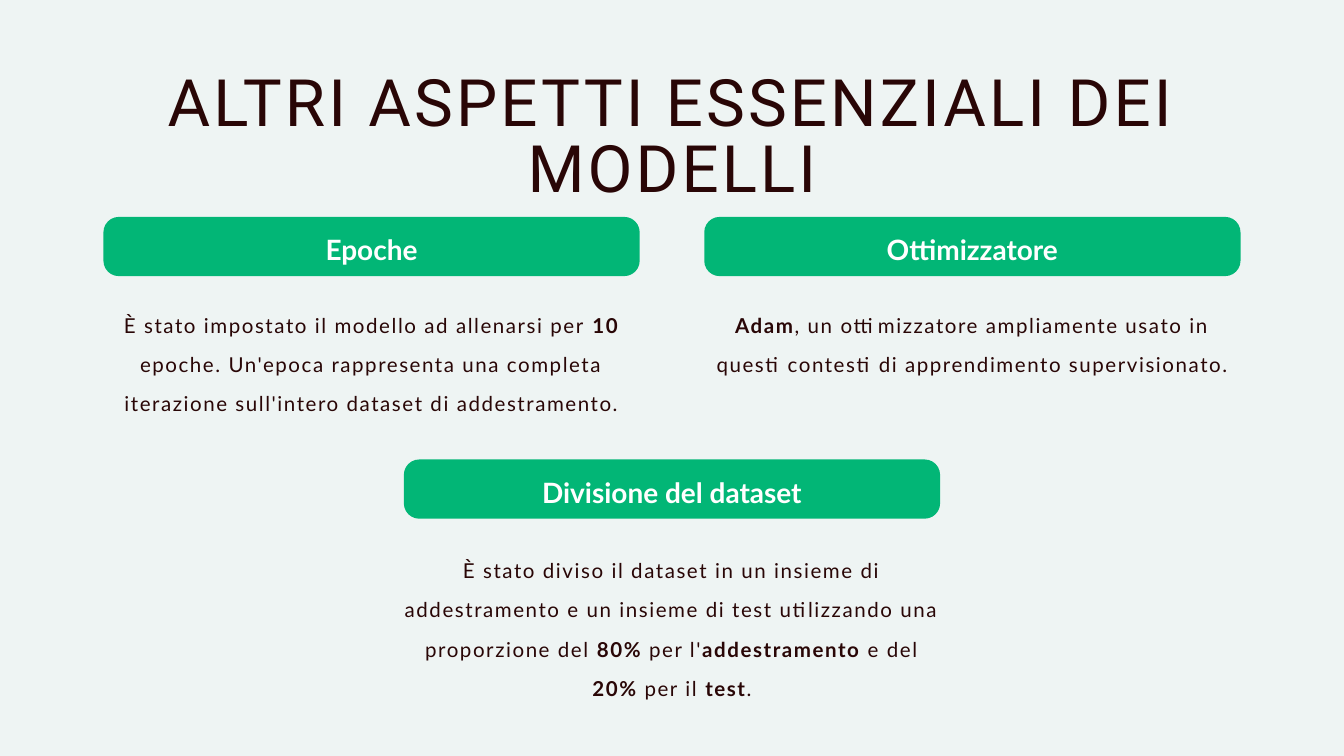
from dataclasses import dataclass

from pptx import Presentation
from pptx.dml.color import RGBColor as Rgb
from pptx.enum.shapes import MSO_SHAPE as Kind
from pptx.enum.text import MSO_ANCHOR as Anchor, MSO_AUTO_SIZE as Fit, PP_ALIGN as Align
from pptx.util import Cm, Pt


@dataclass(frozen=True)
class Type:
    font: str
    size: int
    color: str
    lead: int
    bold: bool = False
    track: int = 0


@dataclass(frozen=True)
class Theme:
    back: str = "EEF4F3"
    green: str = "02B676"
    title: Type = Type("Roboto", 70, "290606", 70, track=340)
    head: Type = Type("Lato", 30, "FFFFFF", 42, bold=True)
    body: Type = Type("Lato", 22, "290606", 42, track=170)


@dataclass(frozen=True)
class Card:
    head: str
    body: str
    left: float
    top: float
    drop: float
    tall: float


THEME = Theme()
WIDE, HIGH = 50.8, 28.58
CARD, BAR, GAP = 20.27, 2.24, 2.44
LEFT = (WIDE - 2 * CARD - GAP) / 2
RIGHT = LEFT + CARD + GAP
MID = (WIDE - CARD) / 2

TITLE = "ALTRI ASPETTI ESSENZIALI DEI MODELLI"
CARDS = [
    Card("Epoche",
         "È stato impostato il modello ad allenarsi per *10* epoche. Un'epoca "
         "rappresenta una completa iterazione sull'intero dataset di addestramento.",
         LEFT, 8.2, 3.08, 4.32),
    Card("Ottimizzatore",
         "*Adam*, un ottimizzatore ampliamente usato in questi contesti di "
         "apprendimento supervisionato.",
         RIGHT, 8.2, 3.08, 4.32),
    Card("Divisione del dataset",
         "È stato diviso il dataset in un insieme di addestramento e un insieme di "
         "test utilizzando una proporzione del *80%* per l'*addestramento* e del "
         "*20%* per il *test*.",
         MID, 17.37, 3.18, 5.82),
]


def put(item, values: dict) -> None:
    for name, value in values.items():
        setattr(item, name, value)


def write(shape, text: str, look: Type, pad: float = 0, anchor=Anchor.TOP) -> None:
    """Fill a shape with one centred paragraph; *stars* mark bold words."""
    frame = shape.text_frame
    put(frame, {"word_wrap": True, "auto_size": Fit.NONE, "vertical_anchor": anchor})
    put(frame, {f"margin_{side}": Cm(pad) for side in ("left", "top", "right", "bottom")})
    para = frame.paragraphs[0]
    put(para, {"alignment": Align.CENTER, "line_spacing": Pt(look.lead)})
    for i, part in enumerate(text.split("*")):
        if not part:
            continue
        run = para.add_run()
        run.text = part
        put(run.font, {"name": look.font, "size": Pt(look.size),
                       "bold": look.bold or i % 2 == 1})
        run.font.color.rgb = Rgb.from_string(look.color)
        if look.track:
            run.font._element.set("spc", str(look.track))


def draw(slide, card: Card) -> None:
    bar = slide.shapes.add_shape(Kind.ROUNDED_RECTANGLE, Cm(card.left), Cm(card.top),
                                 Cm(CARD), Cm(BAR))
    bar.adjustments[0] = 0.26
    bar.shadow.inherit = False
    bar.fill.solid()
    bar.fill.fore_color.rgb = Rgb.from_string(THEME.green)
    bar.line.fill.background()
    write(bar, card.head, THEME.head, 0.15, Anchor.MIDDLE)
    body = slide.shapes.add_textbox(Cm(card.left), Cm(card.top + card.drop),
                                    Cm(CARD), Cm(card.tall))
    write(body, card.body, THEME.body)


def main() -> None:
    deck = Presentation()
    put(deck, {"slide_width": Cm(WIDE), "slide_height": Cm(HIGH)})
    slide = deck.slides.add_slide(deck.slide_layouts[5])
    slide.background.fill.solid()
    slide.background.fill.fore_color.rgb = Rgb.from_string(THEME.back)
    title = slide.shapes.title
    put(title, {"left": Cm(4.88), "top": Cm(2.82), "width": Cm(41.05), "height": Cm(2.49)})
    write(title, TITLE, THEME.title)
    for card in CARDS:
        draw(slide, card)
    deck.save("out.pptx")


if __name__ == "__main__":
    main()
